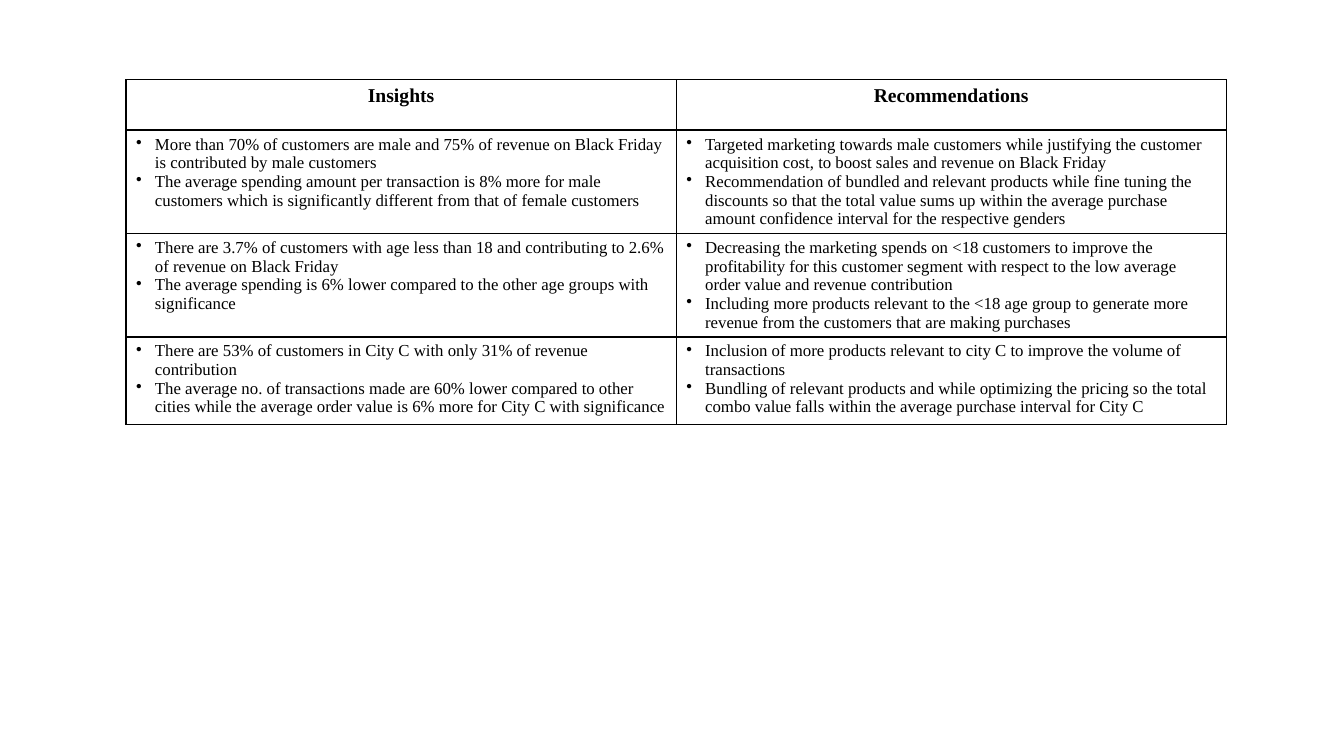
from dataclasses import dataclass

from lxml import etree
from pptx import Presentation
from pptx.dml.color import RGBColor
from pptx.enum.text import PP_ALIGN
from pptx.oxml.ns import qn
from pptx.util import Pt

CENTER = PP_ALIGN.CENTER
LEFT = PP_ALIGN.LEFT
EMU_PER_PX = 9525
BLANK_LAYOUT = 6


@dataclass(frozen=True)
class Theme:
    font: str = "Times New Roman"
    ink: str = "000000"
    paper: str = "FFFFFF"
    heading_size: int = 14
    body_size: int = 12
    rule: float = 1
    heading_rule: float = 1.5


THEME = Theme()

HEADINGS = ("Insights", "Recommendations")
FINDINGS = (
    (
        (
            "More than 70% of customers are male and 75% of revenue on Black Friday is contributed by male customers",
            "The average spending amount per transaction is 8% more for male customers which is significantly "
            "different from that of female customers",
        ),
        (
            "Targeted marketing towards male customers while justifying the customer acquisition cost, "
            "to boost sales and revenue on Black Friday",
            "Recommendation of bundled and relevant products while fine tuning the discounts so that the total "
            "value sums up within the average purchase amount confidence interval for the respective genders",
        ),
    ),
    (
        (
            "There are 3.7% of customers with age less than 18 and contributing to 2.6% of revenue on Black Friday",
            "The average spending is 6% lower compared to the other age groups with significance",
        ),
        (
            "Decreasing the marketing spends on <18 customers to improve the profitability for this customer "
            "segment with respect to the low average order value and revenue contribution",
            "Including more products relevant to the <18 age group to generate more revenue from the customers "
            "that are making purchases",
        ),
    ),
    (
        (
            "There are 53% of customers in City C with only 31% of revenue contribution",
            "The average no. of transactions made are 60% lower compared to other cities while the average "
            "order value is 6% more for City C with significance",
        ),
        (
            "Inclusion of more products relevant to city C to improve the volume of transactions",
            "Bundling of relevant products and while optimizing the pricing so the total combo value falls "
            "within the average purchase interval for City C",
        ),
    ),
)


def px(length):
    return length * EMU_PER_PX


def set_borders(cell, top, bottom):
    properties = cell._tc.get_or_add_tcPr()
    widths = {"lnL": THEME.rule, "lnR": THEME.rule, "lnT": top, "lnB": bottom}
    for side, width in widths.items():
        border = etree.SubElement(properties, qn(f"a:{side}"), w=str(Pt(width)))
        ink = etree.SubElement(border, qn("a:solidFill"))
        etree.SubElement(ink, qn("a:srgbClr"), val=THEME.ink)


def style_cell(cell, top, bottom):
    set_borders(cell, top, bottom)
    cell.fill.solid()
    cell.fill.fore_color.rgb = RGBColor.from_string(THEME.paper)


def style_paragraph(paragraph, size, bold, alignment):
    paragraph.alignment = alignment
    paragraph.font.name = THEME.font
    paragraph.font.size = Pt(size)
    paragraph.font.bold = bold
    paragraph.font.color.rgb = RGBColor.from_string(THEME.ink)


def add_bullet(paragraph):
    properties = paragraph._p.get_or_add_pPr()
    properties.set("marL", str(px(18)))
    properties.set("indent", str(px(-18)))
    bullet = etree.Element(qn("a:buChar"), char="•")
    properties.insert(0, bullet)


def fill_heading(cell, heading):
    style_cell(cell, THEME.rule, THEME.heading_rule)
    cell.text = heading
    style_paragraph(cell.text_frame.paragraphs[0], THEME.heading_size, True, CENTER)


def fill_points(cell, points, top):
    style_cell(cell, top, THEME.rule)
    cell.text = "\n".join(points)
    for paragraph in cell.text_frame.paragraphs:
        add_bullet(paragraph)
        style_paragraph(paragraph, THEME.body_size, False, LEFT)


def add_findings_table(slide):
    row_count = len(FINDINGS) + 1
    heading_height, finding_height = 48, 83
    height = heading_height + finding_height * len(FINDINGS)
    table = slide.shapes.add_table(
        row_count, len(HEADINGS), px(120), px(76), px(1048), px(height)
    ).table
    table.horz_banding = False
    for row in table.rows:
        row.height = px(finding_height)
    table.rows[0].height = px(heading_height)
    for column, heading in enumerate(HEADINGS):
        fill_heading(table.cell(0, column), heading)
    for row, finding in enumerate(FINDINGS, start=1):
        top = THEME.heading_rule if row == 1 else THEME.rule
        for column, points in enumerate(finding):
            fill_points(table.cell(row, column), points, top)


def main():
    presentation = Presentation()
    presentation.slide_width = px(1280)
    presentation.slide_height = px(720)
    slide = presentation.slides.add_slide(presentation.slide_layouts[BLANK_LAYOUT])
    add_findings_table(slide)
    presentation.save("out.pptx")


if __name__ == "__main__":
    main()
